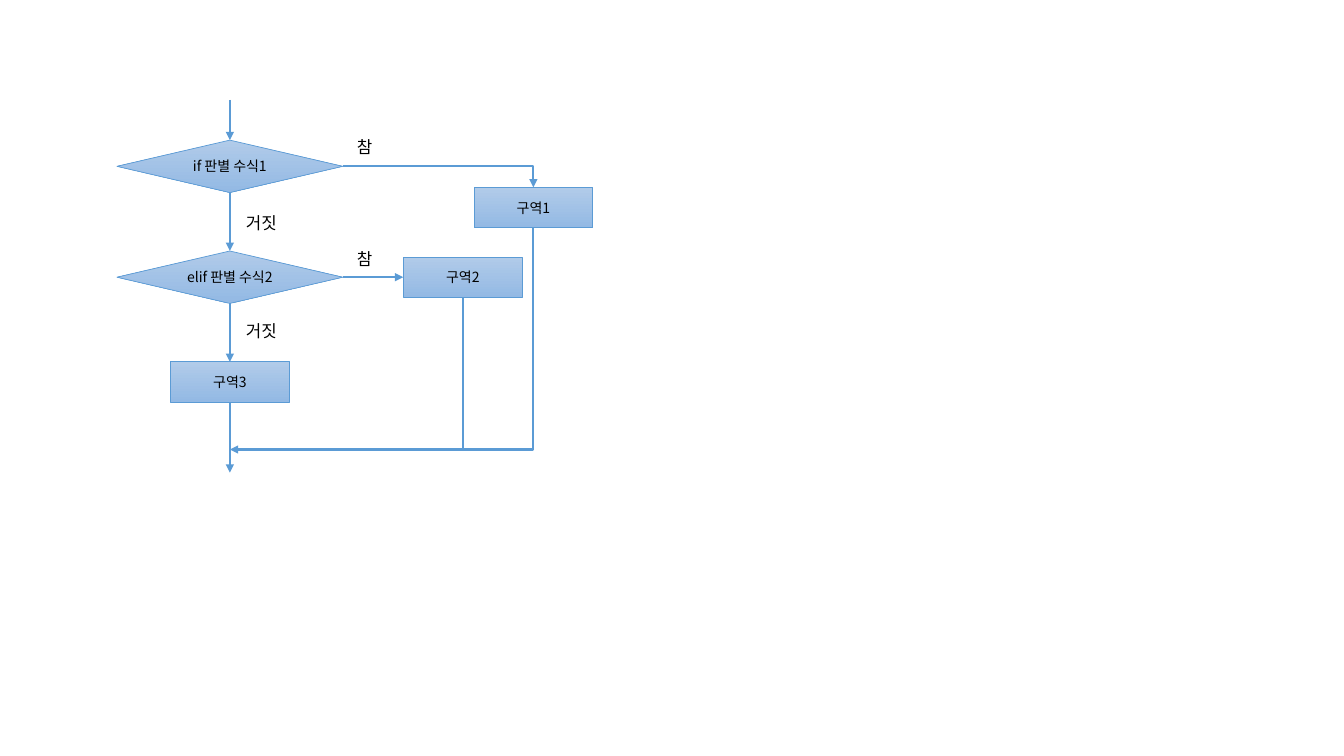
import dataclasses

import lxml.etree
import pptx
import pptx.dml.color
import pptx.enum.shapes
import pptx.enum.text
import pptx.oxml.ns
import pptx.util

Inches = pptx.util.Inches
Pt = pptx.util.Pt
SHAPES = pptx.enum.shapes.MSO_SHAPE
CONNECTORS = pptx.enum.shapes.MSO_CONNECTOR


@dataclasses.dataclass(frozen=True)
class Theme:
    """Colours, font, type sizes and line widths of the flowchart."""
    line: str = "5B9BD5"
    gradient: tuple = ("B1CBE9", "93B9E4")
    text: str = "000000"
    font: str = "Noto Sans CJK KR"
    node_size: int = 10
    label_size: int = 12
    outline_width: float = 0.5
    arrow_width: float = 1.5


THEME = Theme()
DECISION_SIZE = (2.24, 0.52)
PROCESS_SIZE = (1.18, 0.4)
LABEL_SIZE = (0.71, 0.3)
MAIN_X = 2.28
MERGE_Y = 4.46


def rgb(value):
    """Turn a hex string into a colour."""
    return pptx.dml.color.RGBColor.from_string(value)


def add_child(parent, tag, **attributes):
    """Append a DrawingML element and return it."""
    name = pptx.oxml.ns.qn(tag)
    return lxml.etree.SubElement(parent, name, attributes)


def set_attributes(target, values):
    """Set every attribute named in a dict of format values."""
    for name, value in values.items():
        setattr(target, name, value)


def write_text(frame, text, size, alignment):
    """Write one formatted line of text into a text frame."""
    paragraph = frame.paragraphs[0]
    paragraph.alignment = alignment
    run = paragraph.add_run()
    run.text = text
    set_attributes(run.font, {"size": Pt(size), "name": THEME.font})
    run.font.color.rgb = rgb(THEME.text)
    add_child(run.font._element, "a:ea", typeface=THEME.font)


def add_node(slide, kind, center_x, top, size, text):
    """Add a gradient flowchart node centred on a vertical axis."""
    width, height = size
    shape = slide.shapes.add_shape(
        kind, Inches(center_x - width / 2), Inches(top),
        Inches(width), Inches(height))
    shape.shadow.inherit = False
    shape.fill.gradient()
    shape.fill.gradient_angle = 270
    for stop, color in zip(shape.fill.gradient_stops, THEME.gradient):
        stop.color.rgb = rgb(color)
    shape.line.color.rgb = rgb(THEME.line)
    shape.line.width = Pt(THEME.outline_width)
    set_attributes(shape.text_frame, {
        "word_wrap": True,
        "vertical_anchor": pptx.enum.text.MSO_ANCHOR.MIDDLE})
    write_text(shape.text_frame, text, THEME.node_size,
               pptx.enum.text.PP_ALIGN.CENTER)


def add_label(slide, left, top, text):
    """Add the branch label of a decision."""
    box = slide.shapes.add_textbox(
        Inches(left), Inches(top), *map(Inches, LABEL_SIZE))
    set_attributes(box.text_frame, {
        "word_wrap": True,
        "auto_size": pptx.enum.text.MSO_AUTO_SIZE.SHAPE_TO_FIT_TEXT})
    write_text(box.text_frame, text, THEME.label_size,
               pptx.enum.text.PP_ALIGN.LEFT)


def add_flow(slide, start, end, kind=CONNECTORS.STRAIGHT, arrow=True):
    """Add a flow line, with an arrowhead unless it merges."""
    connector = slide.shapes.add_connector(
        kind, *map(Inches, (*start, *end)))
    connector.line.color.rgb = rgb(THEME.line)
    connector.line.width = Pt(THEME.arrow_width)
    if arrow:
        add_child(connector.line._ln, "a:tailEnd", type="triangle")
    add_child(connector._element.spPr, "a:effectLst")
    return connector


def add_bent_flow(slide, start, end, down_first=False):
    """Add an arrow with one corner; down_first runs down, then left."""
    connector = add_flow(slide, start, end, CONNECTORS.ELBOW)
    properties = connector._element.spPr
    properties.find(pptx.oxml.ns.qn("a:prstGeom")).set(
        "prst", "bentConnector2")
    if down_first:
        width, height = end[1] - start[1], start[0] - end[0]
        transform = properties.find(pptx.oxml.ns.qn("a:xfrm"))
        transform.attrib.pop("flipH", None)
        transform.set("rot", "5400000")
        set_attributes(connector, {
            "left": Inches((start[0] + end[0] - width) / 2),
            "top": Inches((start[1] + end[1] - height) / 2),
            "width": Inches(width), "height": Inches(height)})


def main():
    """Build the if / elif flowchart."""
    presentation = pptx.Presentation()
    set_attributes(presentation, {
        "slide_width": Inches(13.33), "slide_height": Inches(7.5)})
    slide = presentation.slides.add_slide(presentation.slide_layouts[6])

    for top, text in ((1.39, "if 판별 수식1"), (2.49, "elif 판별 수식2")):
        add_node(slide, SHAPES.FLOWCHART_DECISION, MAIN_X, top,
                 DECISION_SIZE, text)
    for center_x, top, text in (
            (5.29, 1.86, "구역1"), (4.59, 2.55, "구역2"),
            (MAIN_X, 3.59, "구역3")):
        add_node(slide, SHAPES.FLOWCHART_PROCESS, center_x, top,
                 PROCESS_SIZE, text)

    for top, bottom in ((0.99, 1.39), (1.91, 2.49), (3.01, 3.59),
                        (3.99, 4.69)):
        add_flow(slide, (MAIN_X, top), (MAIN_X, bottom))
    add_flow(slide, (3.4, 2.75), (4, 2.75))
    add_flow(slide, (4.59, 2.95), (4.59, MERGE_Y), arrow=False)
    add_bent_flow(slide, (3.4, 1.65), (5.29, 1.86))
    add_bent_flow(slide, (5.29, 2.26), (MAIN_X, MERGE_Y), down_first=True)

    for left, top, text in (
            (3.44, 1.31, "참"), (2.34, 2.06, "거짓"),
            (3.44, 2.42, "참"), (2.34, 3.13, "거짓")):
        add_label(slide, left, top, text)

    presentation.save("out.pptx")


main()
